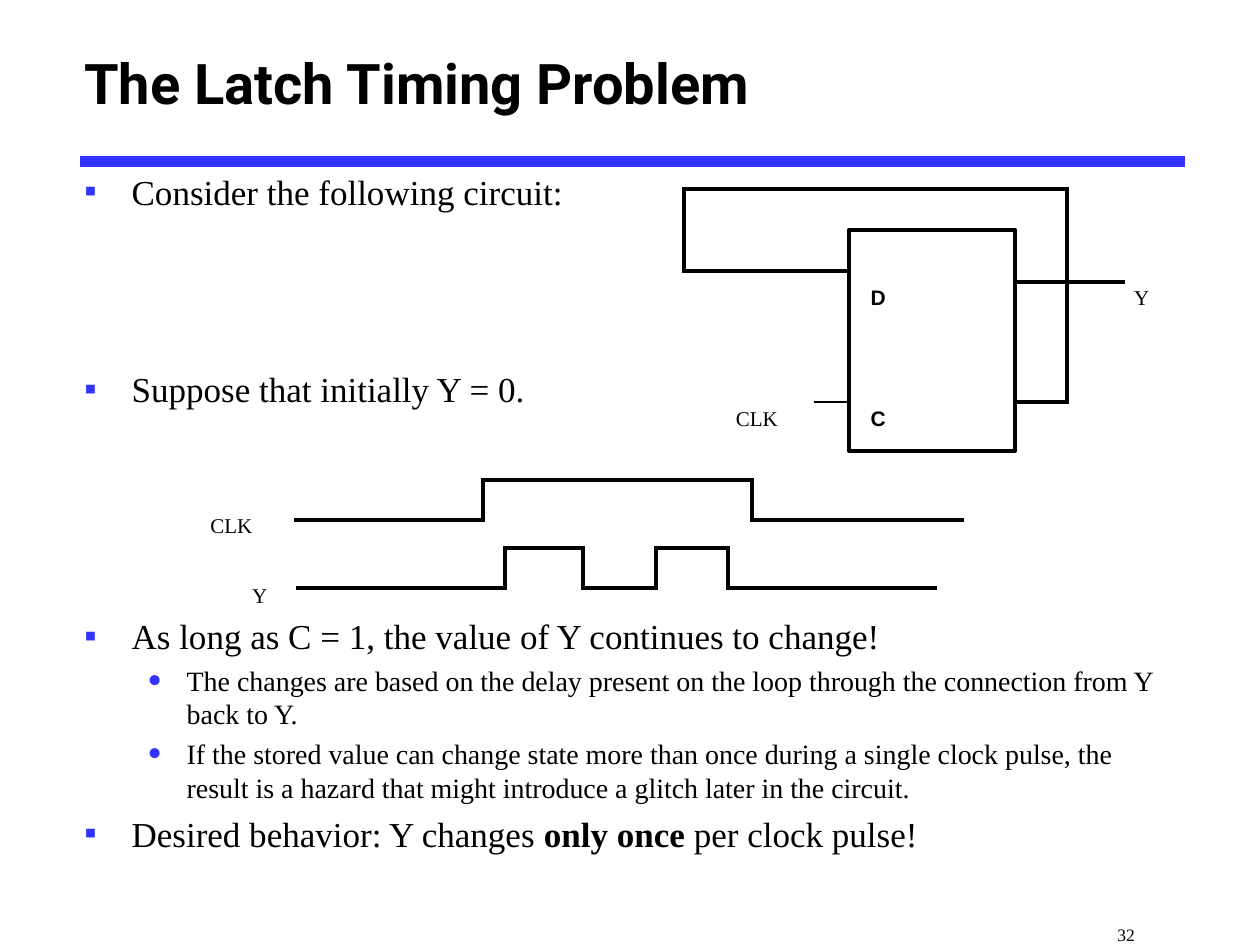
from itertools import pairwise

from lxml import etree
from pptx import Presentation
from pptx.dml.color import RGBColor
from pptx.enum import shapes, text
from pptx.oxml.ns import qn
from pptx.util import Pt

BLACK = RGBColor(0, 0, 0)
BLUE = RGBColor(0x33, 0x33, 0xFF)
SERIF = "Times New Roman"

TITLE = "The Latch Timing Problem"
# level, space before, runs of (text, bold)
BODY = [
    (0, 0, [("Consider the following circuit:", False)]),
    (0, 89, [("Suppose that initially Y = 0.", False)]),
    (0, 117, [("As long as C = 1, the value of Y continues to change!", False)]),
    (1, 3.7, [("The changes are based on the delay present on the loop through "
               "the connection from Y back to Y.", False)]),
    (1, 3.7, [("If the stored value can change state more than once during a "
               "single clock pulse, the result is a hazard that might introduce "
               "a glitch later in the circuit.", False)]),
    (0, 4.6, [("Desired behavior: Y changes ", False), ("only once", True),
              (" per clock pulse!", False)]),
]
LEVELS = [
    dict(size=20, left=27, hang=27, bullet="▪", scale=100),
    dict(size=16, left=58.5, hang=22.5, bullet="•", scale=150),
]

# Latch box, and the heights at which wires meet it
LEFT, TOP, RIGHT, BOTTOM = 485.2, 131.4, 580, 257.8
D_IN, Q_OUT, C_IN = 154.8, 161.3, 229.7

# width, corner points
WIRES = [
    (2.25, [(RIGHT, C_IN), (609.8, C_IN), (609.8, 108), (391, 108),
            (391, D_IN), (LEFT, D_IN)]),
    (2.25, [(RIGHT, Q_OUT), (642, Q_OUT)]),
    (1.5, [(466, C_IN), (LEFT, C_IN)]),
]

# start, low and high level, x of each edge, end
WAVES = [
    (169, 297.2, 274.2, [275.8, 429.8], 549.5),
    (170, 336.2, 313.2, [288.7, 333.2, 375.1, 416.1], 534.5),
]

# text, left, top, size, font, bold
LABELS = [
    ("D", 497.5, 162.7, 12, "Arial", True),
    ("C", 497.5, 231.8, 12, "Arial", True),
    ("Y", 648, 162.7, 12, SERIF, False),
    ("CLK", 420.5, 231.8, 12, SERIF, False),
    ("CLK", 120.2, 293, 12, SERIF, False),
    ("Y", 144, 333, 12, SERIF, False),
    ("32", 638.5, 527.8, 10, SERIF, False),
]


def set_font(font, **values):
    font.color.rgb = BLACK
    for name, value in values.items():
        setattr(font, name, value)


def place(sp, left, top, width, height):
    sp.left, sp.top, sp.width, sp.height = map(Pt, (left, top, width, height))


def add_bullet(p, left, hang, bullet, scale):
    pPr = p._p.get_or_add_pPr()
    pPr.set("marL", str(Pt(left)))
    pPr.set("indent", str(-Pt(hang)))
    color = etree.SubElement(pPr, qn("a:buClr"))
    etree.SubElement(color, qn("a:srgbClr"), val=str(BLUE))
    etree.SubElement(pPr, qn("a:buSzPct"), val=str(scale * 1000))
    etree.SubElement(pPr, qn("a:buFont"), typeface=SERIF)
    etree.SubElement(pPr, qn("a:buChar"), char=bullet)


def add_lines(s, points, width, color=BLACK, cap="sq"):
    """Join successive points with straight connectors."""
    for start, end in pairwise(points):
        line = s.shapes.add_connector(shapes.MSO_CONNECTOR.STRAIGHT,
                                      *map(Pt, start + end))
        line.line.color.rgb = color
        line.line.width = Pt(width)
        line.line._get_or_add_ln().set("cap", cap)
        etree.SubElement(line._element.spPr, qn("a:effectLst"))


def wave_points(start, low, high, edges, end):
    points, level = [(start, low)], low
    for x in edges:
        points.append((x, level))
        level = high if level == low else low
        points.append((x, level))
    return points + [(end, level)]


def add_label(s, label, left, top, size, font, bold):
    tb = s.shapes.add_textbox(Pt(left), Pt(top), Pt(len(label) * size), Pt(size * 1.2))
    tf = tb.text_frame
    tf.word_wrap = False
    tf.margin_left = tf.margin_right = tf.margin_top = tf.margin_bottom = 0
    r = tf.paragraphs[0].add_run()
    r.text = label
    set_font(r.font, size=Pt(size), name=font, bold=bold)


def fill_title(sp):
    place(sp, 41, 6.5, 628, 80.5)
    tf = sp.text_frame
    tf.text = TITLE
    tf.vertical_anchor = text.MSO_ANCHOR.MIDDLE
    tf.auto_size = text.MSO_AUTO_SIZE.NONE
    p = tf.paragraphs[0]
    p.alignment = text.PP_ALIGN.LEFT
    set_font(p.runs[0].font, size=Pt(32), name="Roboto", bold=True)


def fill_body(sp):
    place(sp, 41, 93.6, 639.5, 437)
    tf = sp.text_frame
    tf.auto_size = text.MSO_AUTO_SIZE.NONE
    for i, (level, before, runs) in enumerate(BODY):
        p = tf.add_paragraph() if i else tf.paragraphs[0]
        style = dict(LEVELS[level])
        size = style.pop("size")
        p.level = level
        add_bullet(p, **style)
        p.space_before = Pt(before)
        for words, bold in runs:
            r = p.add_run()
            r.text = words
            set_font(r.font, size=Pt(size), name=SERIF, bold=bold)


def main():
    prs = Presentation()
    prs.slide_width, prs.slide_height = Pt(720), Pt(540)
    s = prs.slides.add_slide(prs.slide_layouts[1])
    fill_title(s.shapes.title)
    fill_body(s.placeholders[1])
    add_lines(s, [(46, 92.2), (677, 92.2)], 6, BLUE, "flat")

    latch = s.shapes.add_shape(shapes.MSO_SHAPE.RECTANGLE, Pt(LEFT), Pt(TOP),
                               Pt(RIGHT - LEFT), Pt(BOTTOM - TOP))
    latch.shadow.inherit = False
    latch.fill.background()
    latch.line.color.rgb = BLACK
    latch.line.width = Pt(2.5)

    for width, points in WIRES:
        add_lines(s, points, width)
    for wave in WAVES:
        add_lines(s, wave_points(*wave), 2.25)
    for label in LABELS:
        add_label(s, *label)
    prs.save("out.pptx")


if __name__ == "__main__":
    main()
